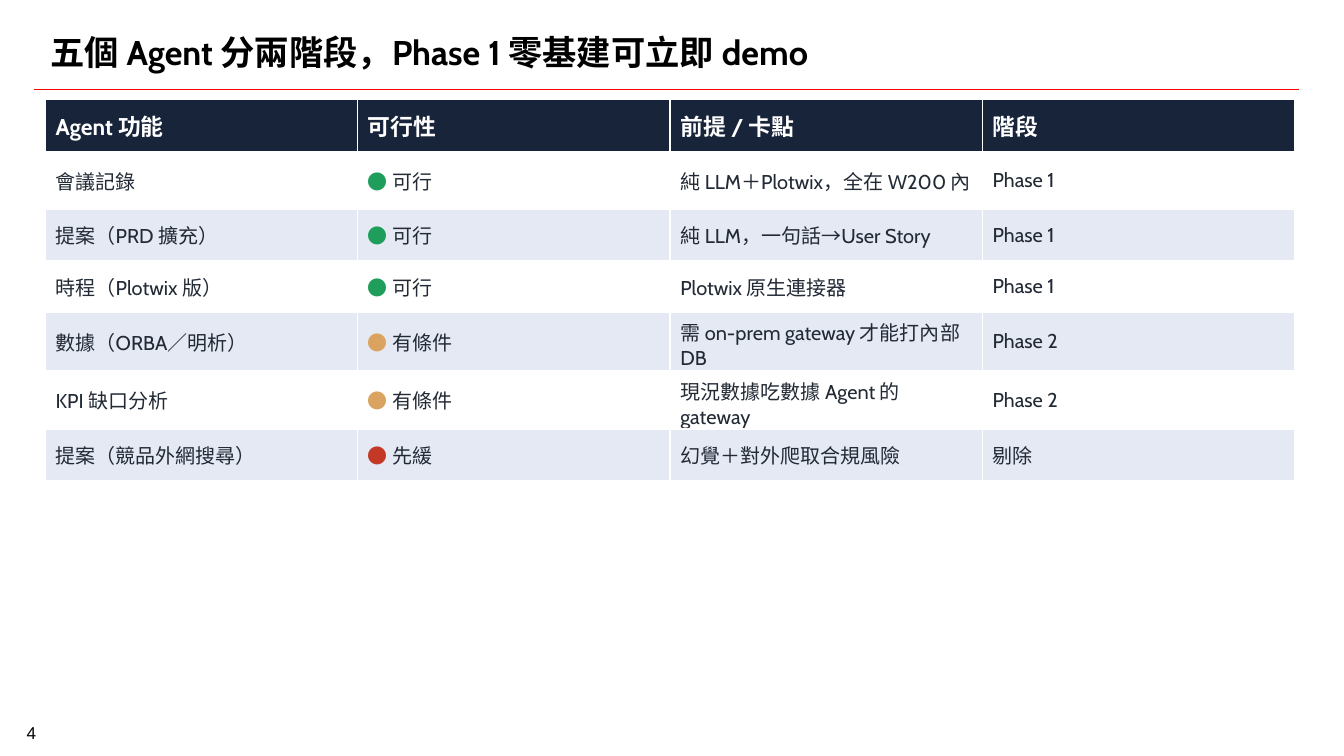
from dataclasses import dataclass

from pptx import Presentation
from pptx.dml.color import RGBColor
from pptx.enum.shapes import MSO_CONNECTOR
from pptx.enum.text import MSO_ANCHOR, MSO_AUTO_SIZE, PP_ALIGN
from pptx.oxml import parse_xml
from pptx.oxml.ns import nsdecls
from pptx.slide import Slide
from pptx.table import _Cell
from pptx.text.text import Font, _Paragraph
from pptx.util import Inches, Length, Pt

STRAIGHT = MSO_CONNECTOR.STRAIGHT
MIDDLE, BOTTOM = MSO_ANCHOR.MIDDLE, MSO_ANCHOR.BOTTOM
LEFT, CENTER = PP_ALIGN.LEFT, PP_ALIGN.CENTER
FIXED = MSO_AUTO_SIZE.NONE

WIDTH, HEIGHT = Inches(13.07), Inches(7.35)


@dataclass(frozen=True)
class Theme:
    face: str = "Cabin"
    plain: str = "Arial"
    black: str = "000000"
    white: str = "FFFFFF"
    red: str = "FF0000"
    navy: str = "172439"
    ink: str = "222A35"
    band: str = "E4E9F4"
    title: int = 24
    head: int = 16
    body: int = 14
    small: int = 12


@dataclass(frozen=True)
class Level:
    label: str
    color: str


@dataclass(frozen=True)
class Agent:
    name: str
    level: Level
    needs: str
    phase: str


THEME = Theme()
READY = Level("可行", "1E9E5A")
PARTLY = Level("有條件", "DAA360")
LATER = Level("先緩", "C43826")

HEADS = ("Agent 功能", "可行性", "前提 / 卡點", "階段")
AGENTS = (
    Agent("會議記錄", READY, "純 LLM＋Plotwix，全在 W200 內", "Phase 1"),
    Agent("提案（PRD 擴充）", READY, "純 LLM，一句話→User Story", "Phase 1"),
    Agent("時程（Plotwix 版）", READY, "Plotwix 原生連接器", "Phase 1"),
    Agent("數據（ORBA／明析）", PARTLY, "需 on-prem gateway 才能打內部 DB", "Phase 2"),
    Agent("KPI 缺口分析", PARTLY, "現況數據吃數據 Agent 的 gateway", "Phase 2"),
    Agent("提案（競品外網搜尋）", LATER, "幻覺＋對外爬取合規風險", "剔除"),
)


def across(share: float) -> Length:
    """Turn a percentage of the slide's width into a length."""
    return Length(round(WIDTH * share / 100))


def down(share: float) -> Length:
    """Turn a percentage of the slide's height into a length."""
    return Length(round(HEIGHT * share / 100))


def style(font: Font, size: int, color: str, bold: bool = False,
          face: str = THEME.face) -> None:
    font.name, font.size, font.bold = face, Pt(size), bold
    font.color.rgb = RGBColor.from_string(color)


def add_title(slide: Slide, text: str) -> None:
    title = slide.shapes.title
    title.left, title.top = across(2.98), down(2.18)
    title.width, title.height = across(93.04), down(9.25)
    frame = title.text_frame
    frame.text = text
    frame.auto_size, frame.vertical_anchor = FIXED, MIDDLE
    para = frame.paragraphs[0]
    para.alignment = LEFT
    style(para.font, THEME.title, THEME.black, True)


def add_rule(slide: Slide) -> None:
    y = down(11.84)
    rule = slide.shapes.add_connector(STRAIGHT, across(2.52), y, across(96.63), y)
    rule.line.color.rgb = RGBColor.from_string(THEME.red)
    rule.line.width = Pt(1.25)
    rule._element.spPr.append(parse_xml(f"<a:effectLst {nsdecls('a')}/>"))


def add_number(slide: Slide, text: str) -> None:
    box = slide.shapes.add_textbox(across(0.15), down(95.65), across(4.36), down(3.27))
    frame = box.text_frame
    frame.text = text
    frame.word_wrap, frame.vertical_anchor = True, BOTTOM
    para = frame.paragraphs[0]
    para.alignment, para.line_spacing = CENTER, Pt(10)
    style(para.font, THEME.small, THEME.black, face=THEME.plain)


def dress(cell: _Cell, fill: str) -> _Paragraph:
    """Fill and border a cell, and return its paragraph."""
    cell.vertical_anchor = MIDDLE
    cell.fill.solid()
    cell.fill.fore_color.rgb = RGBColor.from_string(fill)
    props = cell._tc.get_or_add_tcPr()
    for spot, side in enumerate("LRTB"):
        props.insert(spot, parse_xml(
            f'<a:ln{side} {nsdecls("a")} w="{Pt(1)}"><a:solidFill>'
            f'<a:srgbClr val="{THEME.white}"/></a:solidFill></a:ln{side}>'))
    return cell.text_frame.paragraphs[0]


def add_agents(slide: Slide) -> None:
    count = len(AGENTS) + 1
    table = slide.shapes.add_table(
        count, len(HEADS), across(3.37), down(13.2),
        across(92.96), down(6.8 * count)).table
    for col, head in enumerate(HEADS):
        para = dress(table.cell(0, col), THEME.navy)
        para.add_run().text = head
        style(para.font, THEME.head, THEME.white, True)
    for row, agent in enumerate(AGENTS, 1):
        fill = THEME.white if row % 2 else THEME.band
        texts = (agent.name, agent.level, agent.needs, agent.phase)
        for col, text in enumerate(texts):
            para = dress(table.cell(row, col), fill)
            style(para.font, THEME.body, THEME.ink)
            if isinstance(text, Level):
                dot = para.add_run()
                dot.text = "● "
                dot.font.color.rgb = RGBColor.from_string(text.color)
                text = text.label
            para.add_run().text = text


def main() -> None:
    deck = Presentation()
    deck.slide_width, deck.slide_height = WIDTH, HEIGHT
    slide = deck.slides.add_slide(deck.slide_layouts.get_by_name("Title Only"))
    add_rule(slide)
    add_number(slide, "4")
    add_title(slide, "五個 Agent 分兩階段，Phase 1 零基建可立即 demo")
    add_agents(slide)
    deck.save("out.pptx")


if __name__ == "__main__":
    main()
